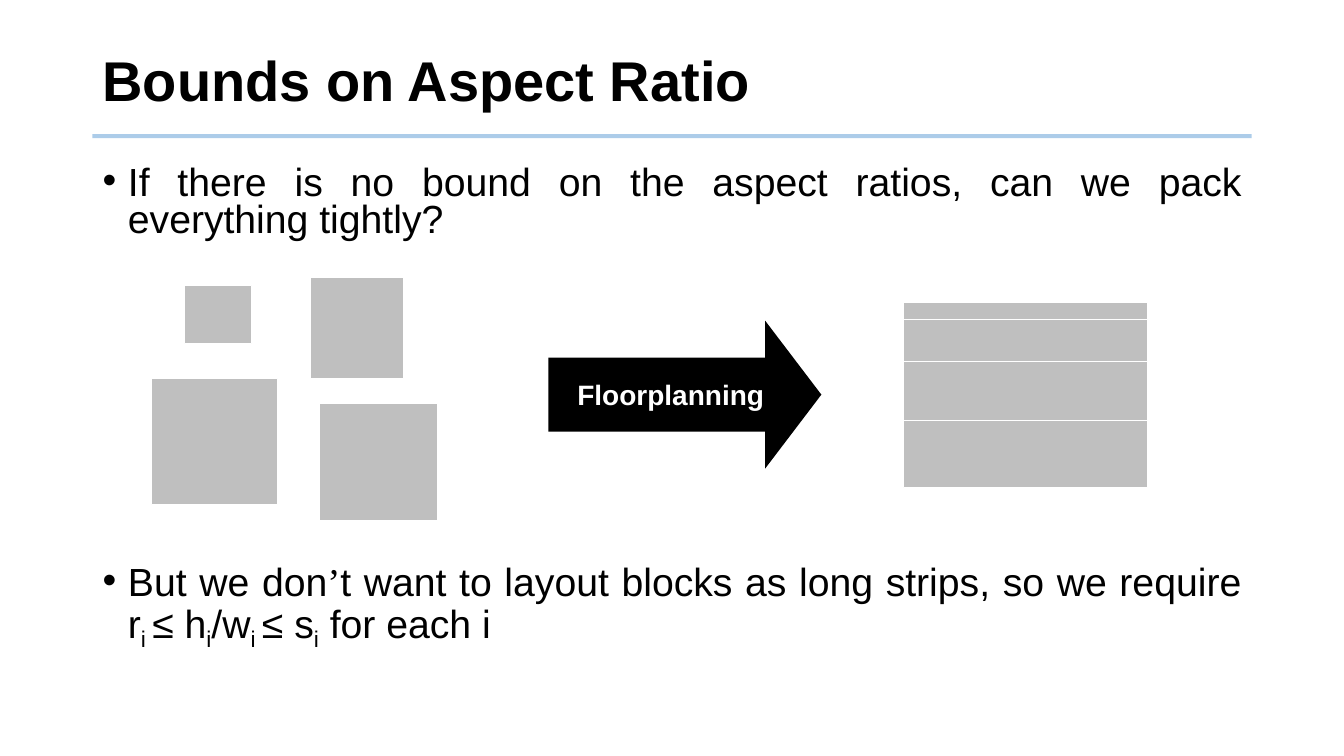
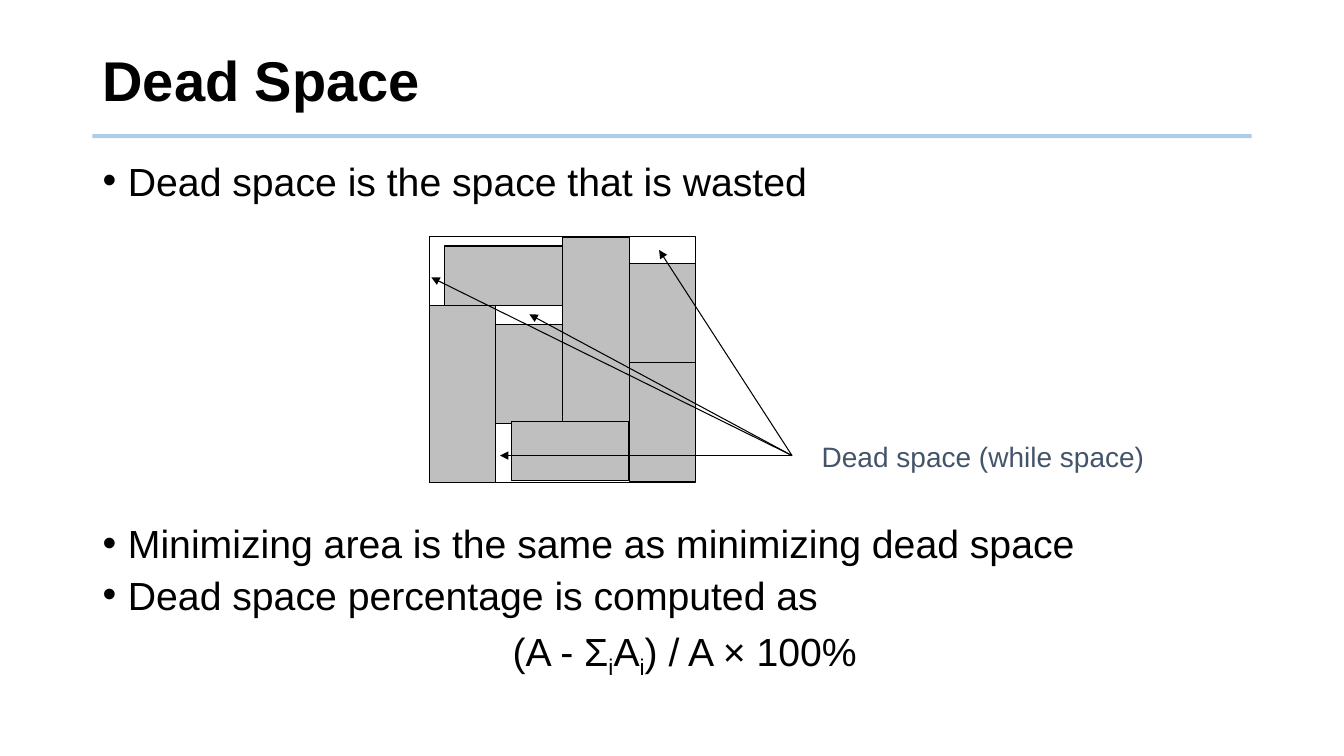
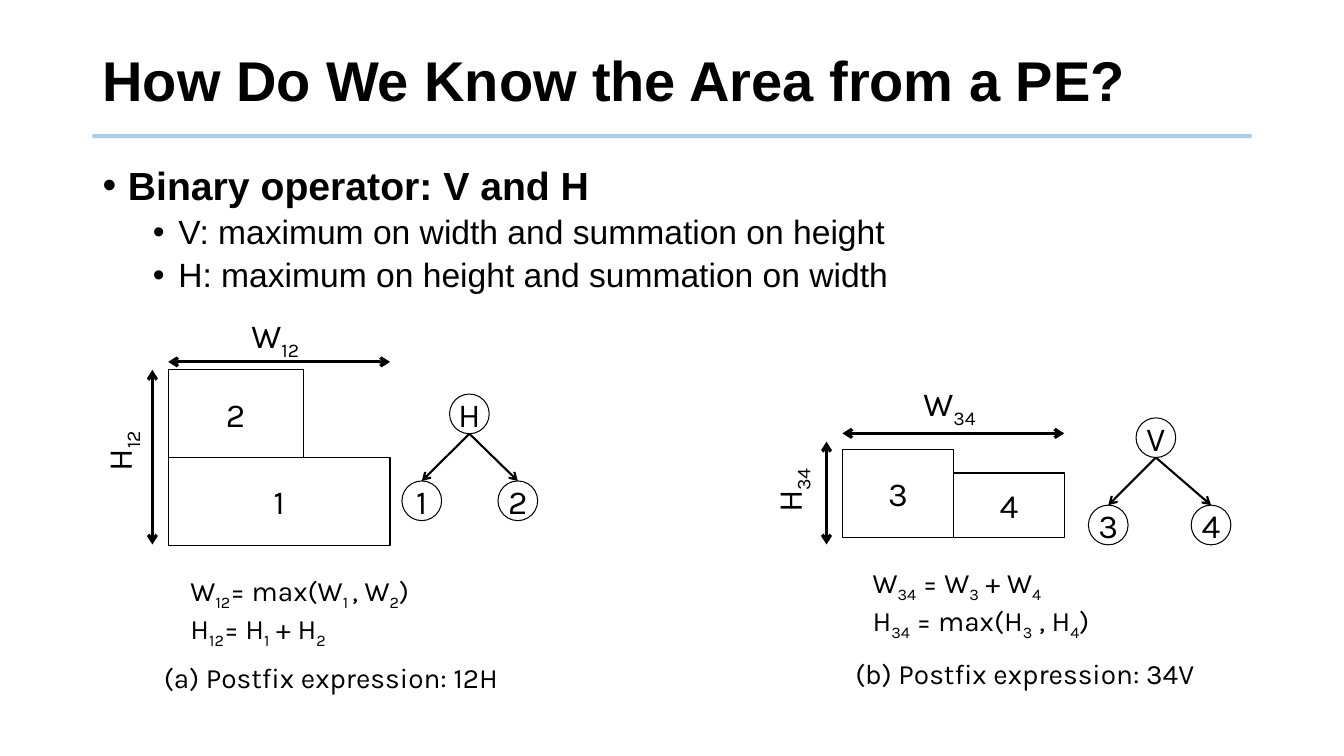
from dataclasses import dataclass

from lxml.etree import SubElement
from pptx import Presentation
from pptx.dml.color import RGBColor
from pptx.enum.shapes import MSO_CONNECTOR, MSO_SHAPE
from pptx.enum.text import MSO_ANCHOR, MSO_AUTO_SIZE, PP_ALIGN
from pptx.oxml.ns import qn
from pptx.util import Cm, Pt

# Shared look
BLACK = RGBColor(0x00, 0x00, 0x00)
WHITE = RGBColor(0xFF, 0xFF, 0xFF)
GREY = RGBColor(0xBF, 0xBF, 0xBF)
RULE_BLUE = RGBColor(0x5B, 0x9B, 0xD5)
SLATE = RGBColor(0x44, 0x54, 0x6A)
SANS, SERIF, DIAGRAM = "Arial", "Times New Roman", "Karla"
MARGIN, CONTENT_WIDTH = 2.33, 29.21
FIGURE_GAP = 232  # points left between two bullets for a drawing
NODE = 1.0  # diameter of a tree node


@dataclass
class Item:
    text: str
    size: int = 28
    level: int = 0
    bold: bool = False
    before: float = 10
    bullet: bool = True
    align: PP_ALIGN = PP_ALIGN.LEFT


# Text
def write_rich(para, text, size, font, color=BLACK, bold=False):
    """Pieces between bars are subscripts; a lone apostrophe is set in serif."""
    for index, piece in enumerate(text.split("|")):
        if not piece:
            continue
        run = para.add_run()
        run.text = piece
        run.font.size = Pt(size)
        run.font.name = SERIF if piece == "’" else font
        run.font.bold = bold
        run.font.color.rgb = color
        if index % 2:
            run._r.get_or_add_rPr().set("baseline", "-25000")


def add_label(page, box, lines, size, font=DIAGRAM, color=BLACK, bold=False,
              align=PP_ALIGN.CENTER, wrap=True, rotation=0):
    label = page.shapes.add_textbox(*map(Cm, box))
    label.rotation = rotation
    frame = label.text_frame
    frame.word_wrap = wrap
    for index, line in enumerate(lines):
        para = frame.add_paragraph() if index else frame.paragraphs[0]
        para.alignment = align
        write_rich(para, line, size, font, color, bold)


def set_bullet(para, item):
    properties = para._p.get_or_add_pPr()
    properties.set("marL", str(Cm(0.64 + 1.27 * item.level)))
    properties.set("indent", str(Cm(-0.64 if item.bullet else 0)))
    if item.bullet:
        SubElement(properties, qn("a:buFont")).set("typeface", SANS)
        SubElement(properties, qn("a:buChar")).set("char", "•")
    else:
        SubElement(properties, qn("a:buNone"))


def fill_body(page, items, line_spacing):
    frame = page.placeholders[1].text_frame
    frame.auto_size = MSO_AUTO_SIZE.NONE
    for index, item in enumerate(items):
        para = frame.add_paragraph() if index else frame.paragraphs[0]
        para.level = item.level
        para.alignment = item.align
        set_bullet(para, item)
        para.line_spacing = line_spacing
        para.space_before = Pt(item.before if index else 0)
        write_rich(para, item.text, item.size, SANS, bold=item.bold)


# Shapes and lines
def add_block(page, box, fill=None, line=BLACK, text="", kind=MSO_SHAPE.RECTANGLE):
    block = page.shapes.add_shape(kind, *map(Cm, box))
    block.shadow.inherit = False
    if fill is None:
        block.fill.background()
    else:
        block.fill.solid()
        block.fill.fore_color.rgb = fill
    if line is None:
        block.line.fill.background()
    else:
        block.line.color.rgb = line
        block.line.width = Pt(0.75)
    if text:
        frame = block.text_frame
        frame.word_wrap = False
        frame.vertical_anchor = MSO_ANCHOR.MIDDLE
        frame.paragraphs[0].alignment = PP_ALIGN.CENTER
        write_rich(frame.paragraphs[0], text, 24, DIAGRAM)
    return block


def add_line(page, start, end, width, color=BLACK, head=None, tail=None):
    line = page.shapes.add_connector(MSO_CONNECTOR.STRAIGHT, *map(Cm, (*start, *end)))
    line.line.color.rgb = color
    line.line.width = Pt(width)
    outline = line.line._get_or_add_ln()
    for tag, arrowhead in (("a:headEnd", head), ("a:tailEnd", tail)):
        if arrowhead:
            SubElement(outline, qn(tag)).set("type", arrowhead)
    SubElement(line._element.spPr, qn("a:effectLst"))
    return line


def add_tree(page, root, left, right):
    """Each node is its text with the left and top of its circle."""
    for text, x, y in (root, left, right):
        add_block(page, (x, y, NODE, NODE), text=text, kind=MSO_SHAPE.OVAL)
    start = (root[1] + NODE / 2, root[2] + NODE)
    for _, x, y in (left, right):
        add_line(page, start, (x + NODE / 2, y), 1.5, tail="arrow")


def add_measure(page, start, end, label, label_at, upright=False):
    add_line(page, start, end, 2.25, head="arrow", tail="arrow")
    width = 3.3 if upright else 6.2
    add_label(page, (*label_at, width, 1.4), [label], 24, rotation=270 if upright else 0)


# Page frame
def prepare_layout(deck):
    layout = deck.slide_layouts[1]
    for index, top, height in ((0, 0.71, 2.79), (1, 4.06, 13.08)):
        holder = layout.placeholders[index]
        holder.left, holder.top = Cm(MARGIN), Cm(top)
        holder.width, holder.height = Cm(CONTENT_WIDTH), Cm(height)
    return layout


def add_page(deck, layout, title):
    page = deck.slides.add_slide(layout)
    rule = add_line(page, (MARGIN, 3.43), (MARGIN + CONTENT_WIDTH, 3.43), 3, RULE_BLUE)
    rule_color = rule.line._get_or_add_ln().find(".//" + qn("a:srgbClr"))
    SubElement(rule_color, qn("a:alpha")).set("val", "50000")
    frame = page.shapes.title.text_frame
    frame.auto_size = MSO_AUTO_SIZE.NONE
    frame.vertical_anchor = MSO_ANCHOR.MIDDLE
    para = frame.paragraphs[0]
    para.alignment = PP_ALIGN.LEFT
    para.line_spacing = 0.9
    write_rich(para, title, 40, SANS, bold=True)
    return page


# Slides
def build_aspect_ratio(deck, layout):
    page = add_page(deck, layout, "Bounds on Aspect Ratio")
    fill_body(page, [
        Item("If there is no bound on the aspect ratios, can we pack everything tightly?",
             align=PP_ALIGN.JUSTIFY),
        Item("But we don||’||t want to layout blocks as long strips, so we require "
             "r|i |≤ h|i|/w|i |≤ s|i| for each i",
             before=FIGURE_GAP, align=PP_ALIGN.JUSTIFY),
    ], 0.8)

    strip_top = 7.62
    for height in (0.43, 1.05, 1.49, 1.7):
        add_block(page, (22.76, strip_top, 6.15, height), GREY, WHITE)
        strip_top += height
    for box in ((4.65, 7.19, 1.7, 1.47), (7.82, 6.99, 2.34, 2.54),
                (8.05, 10.16, 2.97, 2.97), (3.81, 9.53, 3.18, 3.18)):
        add_block(page, box, GREY, WHITE)

    arrow = add_block(page, (13.82, 8.08, 6.88, 3.73), BLACK, None,
                      kind=MSO_SHAPE.RIGHT_ARROW)
    arrow.adjustments[0], arrow.adjustments[1] = 0.5, 0.38
    add_label(page, (14.3, 9.4, 5.46, 1.12), ["Floorplanning"], 20, SANS, WHITE,
              bold=True, align=PP_ALIGN.LEFT)


def build_dead_space(deck, layout):
    page = add_page(deck, layout, "Dead Space")
    fill_body(page, [
        Item("Dead space is the space that is wasted"),
        Item("Minimizing area is the same as minimizing dead space", before=FIGURE_GAP),
        Item("Dead space percentage is computed as"),
        Item("(A - Σ|i|A|i|) / A × 100%", bullet=False, align=PP_ALIGN.CENTER),
    ], 0.8)

    # Floorplan: upright blocks stand in four equal columns
    left, column = 10.82, 1.68
    for index, top, height in ((3, 6.64, 2.5), (3, 9.14, 3), (2, 5.98, 4.65),
                               (1, 8.18, 2.49), (0, 7.7, 4.47)):
        add_block(page, (left + index * column, top, column, height), GREY)
    for box in ((12.88, 10.62, 2.97, 1.5), (11.2, 6.2, 2.97, 1.5)):
        add_block(page, box, GREY)
    add_block(page, (left, 5.96, 4 * column, 6.2))

    add_label(page, (20.42, 10.95, 8.71, 1.12), ["Dead space (while space)"], 20,
              SANS, SLATE, wrap=False)
    for gap in ((16.61, 6.3), (13.34, 7.92), (10.87, 6.99), (12.6, 11.48)):
        add_line(page, (19.96, 11.48), gap, 0.75, tail="triangle")


def build_area(deck, layout):
    page = add_page(deck, layout, "How Do We Know the Area from a PE?")
    fill_body(page, [
        Item("Binary operator: V and H", bold=True),
        Item("V: maximum on width and summation on height", 24, 1, before=5),
        Item("H: maximum on height and summation on width", 24, 1, before=5),
    ], 0.9)

    for text, *box in (("1", 4.24, 11.53, 5.59, 2.21), ("2", 4.24, 9.32, 3.4, 2.21),
                       ("3", 21.23, 11.33, 2.8, 2.21), ("4", 24.03, 11.92, 2.8, 1.62)):
        add_block(page, box, text=text)

    add_tree(page, ("H", 11.33, 9.93), ("1", 10.13, 12.12), ("2", 12.55, 12.12))
    add_tree(page, ("V", 28.63, 10.53), ("3", 27.43, 12.73), ("4", 30.02, 12.73))

    add_measure(page, (4.24, 9.12), (9.83, 9.12), "W|12|", (3.84, 7.82))
    add_measure(page, (21.23, 10.92), (26.82, 10.92), "W|34|", (20.83, 9.53))
    add_measure(page, (3.84, 9.32), (3.84, 13.72), "H|12|", (1.4, 10.67), upright=True)
    add_measure(page, (20.83, 11.13), (20.83, 13.72), "H|34|", (18.29, 11.66), upright=True)

    # Formulas and captions
    for box, lines in (
        ((4.55, 14.33, 8, 2.18), ["W|12|= max(W|1 |, W|2|)", "H|12|= H|1| + H|2|"]),
        ((21.74, 14.12, 9, 2.18), ["W|34| = W|3| + W|4|", "H|34| = max(H|3| , H|4|)"]),
    ):
        add_label(page, box, lines, 20, align=PP_ALIGN.LEFT)
    add_label(page, (2.44, 16.51, 11.81, 1.09), ["(a) Postfix expression: 12H"], 20)
    add_label(page, (19.43, 16.43, 12.8, 1.09), ["(b) Postfix expression: 34V"], 20)


def main():
    deck = Presentation()
    deck.slide_width, deck.slide_height = Cm(33.87), Cm(19.05)
    layout = prepare_layout(deck)
    build_aspect_ratio(deck, layout)
    build_dead_space(deck, layout)
    build_area(deck, layout)
    deck.save("out.pptx")


if __name__ == "__main__":
    main()
